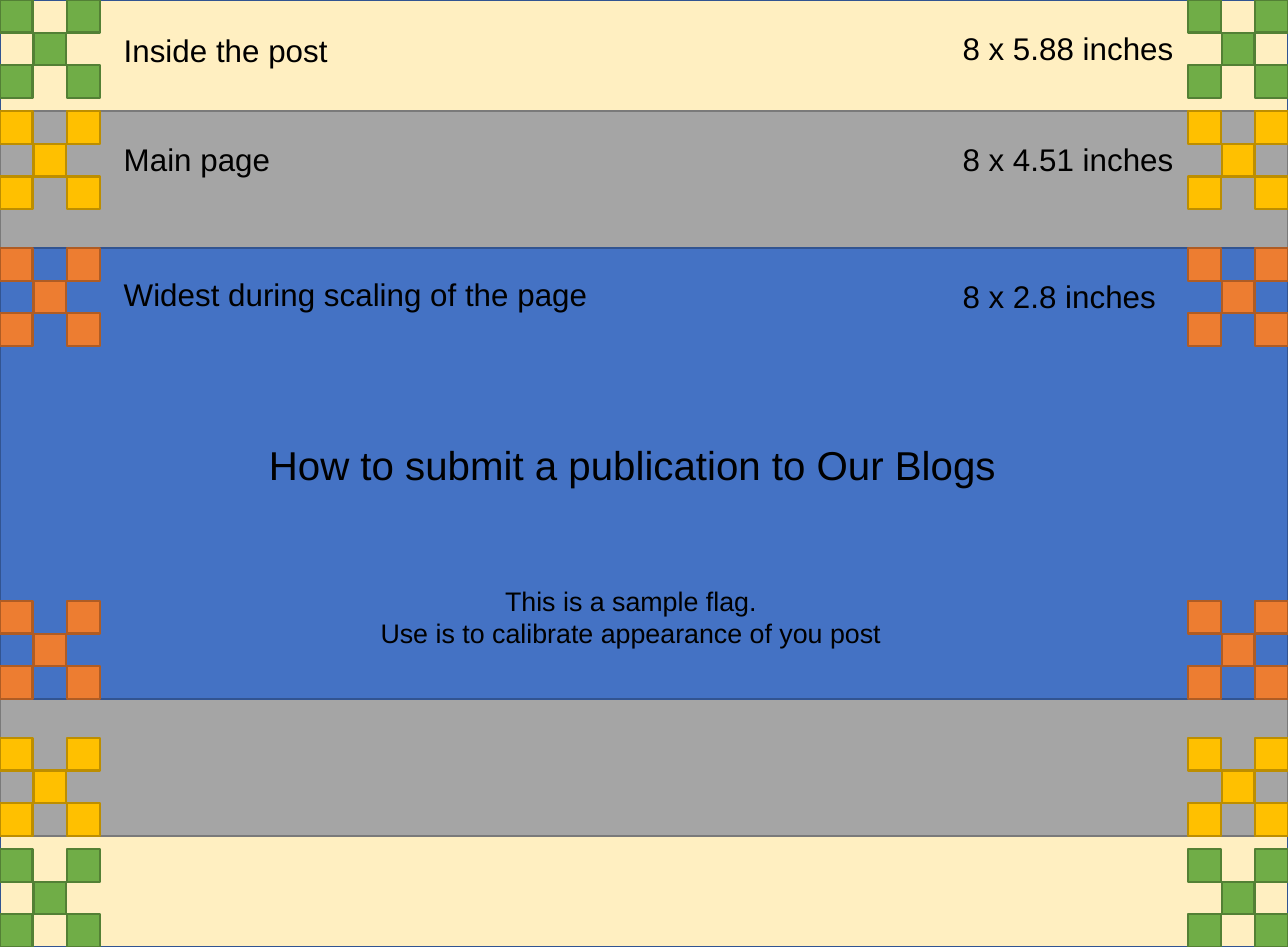
from itertools import product

from lxml.etree import SubElement
from pptx import Presentation
from pptx.dml.color import RGBColor
from pptx.enum.shapes import MSO_SHAPE
from pptx.enum.text import MSO_ANCHOR, MSO_AUTO_SIZE, PP_ALIGN
from pptx.oxml.ns import qn
from pptx.util import Pt

SLIDE_WIDTH, SLIDE_HEIGHT = 576, 423.36
SQUARE = 14.6
COLUMN_STEP = 15
CHECKER_WIDTH = 2 * COLUMN_STEP + SQUARE
CHECKER_HEIGHT = 3 * SQUARE
CHECKER_CELLS = [(0, 0), (2, 0), (1, 1), (0, 2), (2, 2)]
LABEL_LEFT, SIZE_LEFT = 48.24, 423.36
LABEL_HEIGHT = 24.48

BANDS = [
    (SLIDE_HEIGHT, "FFD966", "325491", 40, "70AD47", "538035"),
    (324, "A5A5A5", "7A7A7A", 100, "FFC000", "BD8E00"),
    (201.6, "4472C4", "325491", 100, "ED7D31", "AF5C24"),
]
LABELS = [
    ("Inside the post", LABEL_LEFT, 10.3, 105.84),
    ("Main page", LABEL_LEFT, 59.04, 80.64),
    ("Widest during scaling of the page", LABEL_LEFT, 119.52, 223.2),
    ("8 x 5.88 inches", SIZE_LEFT, 9.36, 109.44),
    ("8 x 4.51 inches", SIZE_LEFT, 59.04, 109.44),
    ("8 x 2.8 inches", SIZE_LEFT, 120.24, 101.52),
]


def color(value):
    return RGBColor.from_string(value)


def set_values(target, values):
    for name, value in values.items():
        setattr(target, name, value)


def add_rectangle(shapes, left, top, width, height, fill, line, opacity=100):
    shape = shapes.add_shape(MSO_SHAPE.RECTANGLE, Pt(left), Pt(top), Pt(width), Pt(height))
    shape.shadow.inherit = False
    shape.fill.solid()
    shape.fill.fore_color.rgb = color(fill)
    shape.line.color.rgb = color(line)
    shape.line.width = Pt(1)
    if opacity < 100:
        fill_color = shape.element.spPr.find(qn("a:solidFill")).find(qn("a:srgbClr"))
        SubElement(fill_color, qn("a:alpha"), val=str(opacity * 1000))


def add_checker(slide, left, top, fill, line):
    group = slide.shapes.add_group_shape()
    for column, row in CHECKER_CELLS:
        add_rectangle(group.shapes, left + column * COLUMN_STEP, top + row * SQUARE,
                      SQUARE, SQUARE, fill, line)


def write_text(shape, lines, left, top, width, height, size, alignment=PP_ALIGN.LEFT):
    set_values(shape, {"left": Pt(left), "top": Pt(top), "width": Pt(width), "height": Pt(height)})
    frame = shape.text_frame
    frame.text = "\n".join(lines)
    set_values(frame, {
        "word_wrap": False,
        "auto_size": MSO_AUTO_SIZE.SHAPE_TO_FIT_TEXT,
        "vertical_anchor": MSO_ANCHOR.TOP,
    })
    for paragraph in frame.paragraphs:
        paragraph.alignment = alignment
        font = paragraph.runs[0].font
        set_values(font, {"name": "Arial", "size": Pt(size)})
        font.color.rgb = color("000000")


def add_text(slide, lines, left, top, width, height, size, alignment=PP_ALIGN.LEFT):
    text_box = slide.shapes.add_textbox(Pt(left), Pt(top), Pt(width), Pt(height))
    write_text(text_box, lines, left, top, width, height, size, alignment)


def add_title(slide, text, left, top, width, height, size):
    title = slide.shapes.title
    write_text(title, [text], left, top, width, height, size)
    slide.shapes.element.append(title.element)


def main():
    presentation = Presentation()
    set_values(presentation, {"slide_width": Pt(SLIDE_WIDTH), "slide_height": Pt(SLIDE_HEIGHT)})
    slide = presentation.slides.add_slide(presentation.slide_layouts[5])

    for height, fill, line, opacity, square_fill, square_line in BANDS:
        top = (SLIDE_HEIGHT - height) / 2
        add_rectangle(slide.shapes, 0, top, SLIDE_WIDTH, height, fill, line, opacity)
        checker_lefts = (0, SLIDE_WIDTH - CHECKER_WIDTH)
        checker_tops = (top, top + height - CHECKER_HEIGHT)
        for checker_left, checker_top in product(checker_lefts, checker_tops):
            add_checker(slide, checker_left, checker_top, square_fill, square_line)

    for text, left, top, width in LABELS:
        add_text(slide, [text], left, top, width, LABEL_HEIGHT, 14)
    add_title(slide, "How to submit a publication to Our Blogs", 113.04, 193.3, 349.92, 28.8, 18)
    add_text(slide, ["This is a sample flag.", "Use is to calibrate appearance of you post"],
             162, 257.76, 240.48, 36, 12, PP_ALIGN.CENTER)

    presentation.save("out.pptx")


if __name__ == "__main__":
    main()
